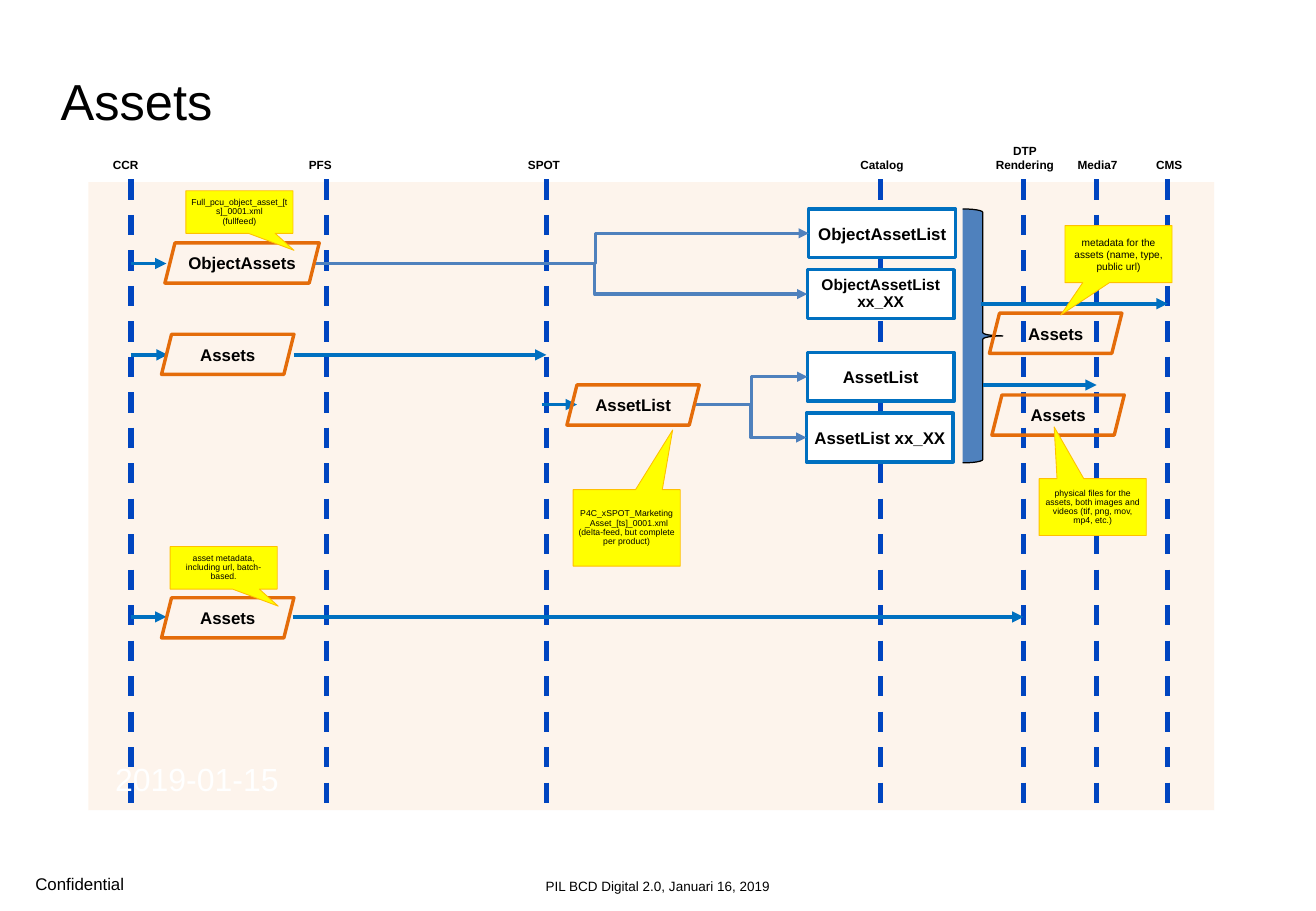
from lxml import etree
from pptx import Presentation
from pptx.dml.color import RGBColor
from pptx.enum.dml import MSO_LINE
from pptx.enum.shapes import MSO_CONNECTOR, MSO_SHAPE
from pptx.enum.text import MSO_ANCHOR, MSO_AUTO_SIZE, PP_ALIGN
from pptx.oxml.ns import qn
from pptx.util import Cm, Pt

DASH = MSO_LINE.DASH
STRAIGHT, ELBOW = MSO_CONNECTOR.STRAIGHT, MSO_CONNECTOR.ELBOW
RECT, PARALLELOGRAM = MSO_SHAPE.RECTANGLE, MSO_SHAPE.PARALLELOGRAM
CALLOUT, BRACE = MSO_SHAPE.RECTANGULAR_CALLOUT, MSO_SHAPE.RIGHT_BRACE
TOP, MIDDLE, BOTTOM = MSO_ANCHOR.TOP, MSO_ANCHOR.MIDDLE, MSO_ANCHOR.BOTTOM
LEFT, CENTER = PP_ALIGN.LEFT, PP_ALIGN.CENTER
NO_FIT = MSO_AUTO_SIZE.NONE

BLACK = RGBColor(0x00, 0x00, 0x00)
WHITE = RGBColor(0xFF, 0xFF, 0xFF)
CREAM = RGBColor(0xFD, 0xEA, 0xDA)
LANE_BLUE = RGBColor(0x00, 0x45, 0xC0)
FLOW_BLUE = RGBColor(0x00, 0x70, 0xC0)
STEEL = RGBColor(0x4F, 0x81, 0xBD)
ORANGE = RGBColor(0xE4, 0x6C, 0x0A)
YELLOW = RGBColor(0xFF, 0xFF, 0x00)
AMBER = RGBColor(0xFF, 0xC0, 0x00)


class Diagram:
    font = "Arial"

    def __init__(self, slide):
        self.s = slide

    def add_lines(self, sp, lines, size, bold=False, color=BLACK, align=CENTER,
                  anchor=MIDDLE, inset=0.1, spacing=None, wrap=True):
        tf = sp.text_frame
        tf.auto_size = NO_FIT
        tf.word_wrap = wrap
        tf.vertical_anchor = anchor
        tf.margin_left = tf.margin_right = Cm(inset)
        tf.margin_top = tf.margin_bottom = Cm(inset)
        for i, line in enumerate(lines):
            p = tf.add_paragraph() if i else tf.paragraphs[0]
            p.alignment = align
            if spacing:
                p.line_spacing = spacing
            r = p.add_run()
            r.text = line
            r.font.name = self.font
            r.font.size = Pt(size)
            r.font.bold = bold
            r.font.color.rgb = color

    def title(self, text, x, y, w, h):
        sp = self.s.shapes.title
        sp.left, sp.top, sp.width, sp.height = Cm(x), Cm(y), Cm(w), Cm(h)
        self.add_lines(sp, [text], 30, align=LEFT, anchor=TOP, inset=0)

    def text(self, lines, x, y, w, h, size, **style):
        sp = self.s.shapes.add_textbox(Cm(x), Cm(y), Cm(w), Cm(h))
        self.add_lines(sp, lines, size, inset=0, **style)

    def shape(self, kind, x, y, w, h, fill=None, line=None, width=2, adj=()):
        sp = self.s.shapes.add_shape(kind, Cm(x), Cm(y), Cm(w), Cm(h))
        sp.shadow.inherit = False
        for i, value in enumerate(adj):
            sp.adjustments[i] = value
        if fill is None:
            sp.fill.background()
        else:
            sp.fill.solid()
            sp.fill.fore_color.rgb = fill
        if line is None:
            sp.line.fill.background()
        else:
            sp.line.color.rgb = line
            sp.line.width = Pt(width)
        return sp

    def backdrop(self, x, y, w, h):
        sp = self.shape(RECT, x, y, w, h, CREAM)
        color = sp._element.spPr.find(qn("a:solidFill"))[0]
        etree.SubElement(color, qn("a:alpha"), val="50000")

    def message(self, text, x, y, w=2.77):
        sp = self.shape(PARALLELOGRAM, x, y, w, 0.84, line=ORANGE, adj=[0.25])
        self.add_lines(sp, [text], 10, bold=True)

    def box(self, text, x, y, size=10, spacing=None):
        sp = self.shape(RECT, x, y, 3.07, 1.02, WHITE, FLOW_BLUE)
        self.add_lines(sp, [text], size, bold=True, spacing=spacing)
        return sp

    def note(self, lines, x, y, h, adj, size=5.1, spacing=0.9):
        sp = self.shape(CALLOUT, x, y, 2.24, h, YELLOW, AMBER, 0.5, adj)
        self.add_lines(sp, lines, size, spacing=spacing)

    def line(self, kind, x1, y1, x2, y2, color, width, arrow=True):
        c = self.s.shapes.add_connector(kind, Cm(x1), Cm(y1), Cm(x2), Cm(y2))
        c.line.color.rgb = color
        c.line.width = Pt(width)
        sp_pr = c._element.spPr
        if arrow:
            etree.SubElement(sp_pr.find(qn("a:ln")), qn("a:tailEnd"), type="triangle")
        etree.SubElement(sp_pr, qn("a:effectLst"))
        return c

    def lane(self, lines, x, label_x):
        c = self.line(STRAIGHT, x, 3.75, x, 16.79, LANE_BLUE, 3, arrow=False)
        c.line.dash_style = DASH
        h = 0.28 * len(lines)
        self.text(lines, label_x - 0.9, 3.6 - h, 1.8, h, 7, bold=True,
                  anchor=BOTTOM, wrap=False)

    def arrow(self, x1, x2, y):
        self.line(STRAIGHT, x1, y, x2, y, FLOW_BLUE, 2.25)

    def branch(self, x, y, box, bend):
        c = self.line(ELBOW, x, y, box.left.cm, box.top.cm + box.height.cm / 2, STEEL, 2)
        c.end_connect(box, 1)
        geom = c._element.spPr.find(qn("a:prstGeom"))
        guides = geom.find(qn("a:avLst"))
        etree.SubElement(guides, qn("a:gd"), name="adj1", fmla=f"val {round(bend * 100000)}")


def main():
    prs = Presentation()
    prs.slide_width, prs.slide_height = Cm(27.53), Cm(19.05)
    d = Diagram(prs.slides.add_slide(prs.slide_layouts[5]))

    d.text(["Confidential"], 0.74, 18.26, 5.54, 0.43, 10, align=LEFT, anchor=BOTTOM)
    d.text(["PIL BCD Digital 2.0, Januari 16, 2019"], 6.12, 18.26, 15.29, 0.43, 8,
           anchor=BOTTOM)
    d.backdrop(1.85, 3.81, 23.55, 13.13)
    d.title("Assets", 1.27, 1.47, 25.15, 1.6)

    for lines, x, label_x in [
        (["CCR"], 2.74, 2.63),
        (["PFS"], 6.83, 6.7),
        (["SPOT"], 11.43, 11.38),
        (["Catalog"], 18.42, 18.45),
        (["DTP", "Rendering"], 21.41, 21.44),
        (["Media7"], 22.94, 22.96),
        (["CMS"], 24.43, 24.46),
    ]:
        d.lane(lines, x, label_x)

    for text, x, y, size, spacing, start_x, start_y, bend in [
        ("ObjectAssetList", 16.92, 4.37, 10, None, 6.55, 5.51, 0.57),
        ("ObjectAssetList xx_XX", 16.89, 5.64, 9.2, 0.9, 6.55, 5.51, 0.57),
        ("AssetList", 16.89, 7.37, 10, None, 14.55, 8.46, 0.5),
        ("AssetList xx_XX", 16.87, 8.64, 10, None, 14.55, 8.46, 0.5),
    ]:
        d.branch(start_x, start_y, d.box(text, x, y, size, spacing), bend)

    d.shape(BRACE, 20.14, 4.37, 0.84, 5.31, STEEL, BLACK, 0.75)

    for x1, x2, y in [
        (2.74, 3.48, 5.51),
        (2.74, 3.51, 7.42),
        (6.15, 11.43, 7.42),
        (11.33, 12.07, 8.46),
        (2.74, 3.48, 12.9),
        (6.12, 21.41, 12.9),
        (20.52, 24.43, 6.35),
        (20.57, 22.94, 8.05),
    ]:
        d.arrow(x1, x2, y)

    d.message("ObjectAssets", 3.45, 5.08, 3.23)
    d.message("AssetList", 11.86, 8.05)
    for x, y in [(3.38, 6.99), (3.38, 12.5), (20.7, 6.55), (20.75, 8.26)]:
        d.message("Assets", x, y)

    d.note(["P4C_xSPOT_Marketing_Asset_[ts]_0001.xml",
            "(delta-feed, but complete per product)"], 11.99, 10.24, 1.6, (0.43, -1.28))
    d.note(["Full_pcu_object_asset_[ts]_0001.xml", "(fullfeed)"],
           3.89, 3.99, 0.89, (0.51, 0.9))
    d.note(["asset metadata, including url, batch-based."], 3.56, 11.43, 0.89, (0.51, 0.9))
    d.note(["physical files for the assets, both images and videos (tif, png, mov, mp4, etc.)"],
           21.74, 10.01, 1.19, (-0.36, -1.41))
    d.note(["metadata for the assets (name, type, public url)"],
           22.28, 4.72, 1.19, (-0.54, 1.07), size=6, spacing=None)
    d.text(["2019-01-15"], 2.41, 15.88, 22.71, 0.84, 19, color=WHITE, align=LEFT, anchor=TOP)

    prs.save("out.pptx")


if __name__ == "__main__":
    main()
